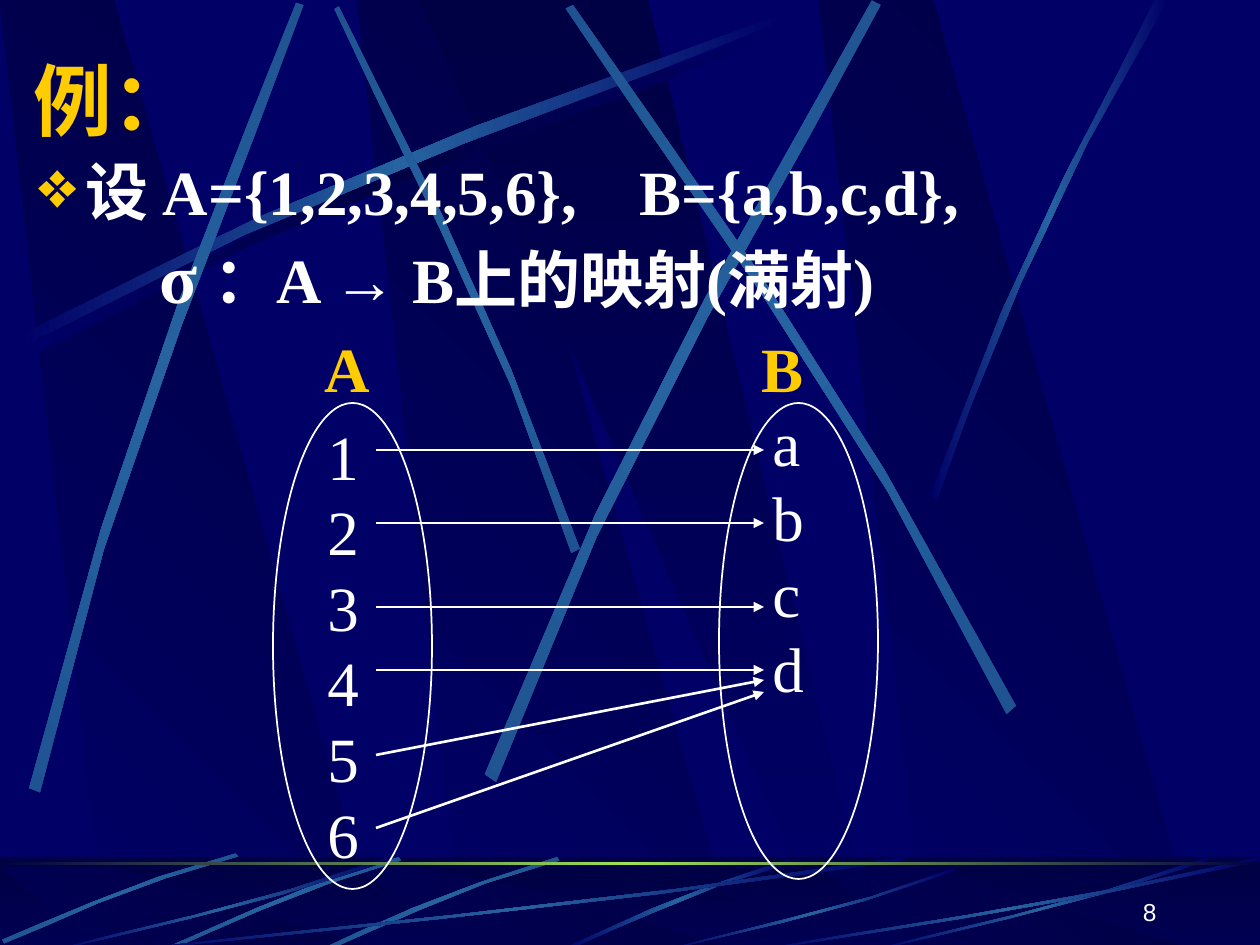
from math import cos, radians, sin

from lxml import etree
from pptx import Presentation
from pptx import util as u
from pptx.dml.color import RGBColor
from pptx.enum import shapes, text
from pptx.oxml.ns import qn

PX = 914400 / 126
WIDTH, HEIGHT = 1260, 945
NAVY, DARK, BLUE, GREEN = "000066", "000044", "2663A0", "9CE157"
GOLD, WHITE, GLOW = "FFCC00", "FFFFFF", "1C4C8C"
SERIF = "Times New Roman"

# Outlines as fractions of their box; a streak is two cubic curves.
PANEL = [(0.28, 1), (1, 1), (0.3, 0), (0, 0)]
MIRROR_PANEL = [(0, 0), (0.9, 1), (1, 1), (0.5, 0)]
WALL_STREAK = [(0, 0.96), (0.43, 0.43), (0.83, 0.15), (1, 0),
               (1, 0.02), (0.84, 0.19), (0.38, 0.5), (0, 1)]
FLOOR_STREAK = [(1, 0.04), (0.57, 0.57), (0.17, 0.85), (0, 1),
                (0, 0.99), (0.17, 0.81), (0.62, 0.51), (1, 0)]
BENT_STREAK = [(0.99, 0), (0.53, 0.33), (0.16, 0.8), (0, 0.97),
               (0.01, 1), (0.17, 0.84), (0.58, 0.31), (1, 0.04)]
# Outlines of the steep streaks in px, each with its tilt in degrees.
STEEP_STREAKS = [
    ([(580, 549), (493, 295), (381, 97), (339, 6),
      (334, 9), (372, 100), (501, 325), (572, 553)], 45),
    ([(29, 788), (117, 421), (248, 132), (296, 3),
      (304, 5), (261, 137), (108, 464), (40, 793)], 311.7),
    ([(485, 774), (627, 403), (804, 129), (872, 1),
      (880, 5), (818, 136), (612, 447), (496, 782)], 321.6),
    ([(1016, 706), (844, 369), (650, 120), (573, 5),
      (566, 9), (639, 127), (863, 410), (1007, 714)], 34.7),
]
RIGHT_STREAK = [(930, 496), (1026, 218), (1119, 83), (1155, 0),
                (1168, 0), (1053, 183), (969, 406), (937, 500)]


def px(length):
    return u.Emu(round(length * PX))


def box_px(box):
    return [px(length) for length in box]


def rgb(colour):
    return RGBColor.from_string(colour)


def fill_gradient(shape, colours, angle):
    shape.fill.gradient()
    gradient = shape.element.spPr.find(qn("a:gradFill"))
    stops = gradient.find(qn("a:gsLst"))
    for stop in list(stops):
        stops.remove(stop)
    for index, colour in enumerate(colours):
        position = round(index * 100000 / (len(colours) - 1))
        stop = etree.SubElement(stops, qn("a:gs"), pos=str(position))
        etree.SubElement(stop, qn("a:srgbClr"), val=colour)
    gradient.find(qn("a:lin")).set("ang", str(angle * 60000))
    shape.line.fill.background()
    shape.shadow.inherit = False


def add_outline(group, points, colours, angle):
    builder = group.shapes.build_freeform(*points[0], scale=PX)
    builder.add_line_segments(points[1:], close=True)
    outline = builder.convert_to_shape()
    fill_gradient(outline, colours, angle)
    return outline


def in_box(outline, box):
    left, top, width, height = box
    return [(left + x * width, top + y * height) for x, y in outline]


def cubic(points, steps=4):
    for step in range(steps + 1):
        t = step / steps
        weights = (1 - t) ** 3, 3 * t * (1 - t) ** 2, 3 * t * t * (1 - t), t ** 3
        yield tuple(sum(w * p[axis] for w, p in zip(weights, points)) for axis in (0, 1))


def turn(point, degrees):
    """Rotate a point clockwise about the slide's top left corner."""
    x, y = point
    c, s = cos(radians(degrees)), sin(radians(degrees))
    return x * c - y * s, x * s + y * c


def add_streak(group, points, tilt=0, edge=NAVY, middle=BLUE):
    """Draw the streak level, then rotate it into its place."""
    curve = [turn(p, -tilt) for p in (*cubic(points[:4]), *cubic(points[4:]))]
    streak = add_outline(group, curve, [edge, middle, edge], 0)
    if tilt:
        half_width, half_height = streak.width / 2, streak.height / 2
        x, y = turn((streak.left + half_width, streak.top + half_height), tilt)
        streak.left, streak.top = round(x - half_width), round(y - half_height)
        streak.rotation = tilt


def add_bar(group, box):
    return group.shapes.add_shape(shapes.MSO_SHAPE.RECTANGLE, *box_px(box))


def add_panels(group, top, height):
    for left in (357, 0, 819):
        add_outline(group, in_box(PANEL, (left, top, 380, height)), [NAVY, DARK], 315)
    add_outline(group, in_box(MIRROR_PANEL, (420, top, 455, height)), [DARK, NAVY], 90)


def add_wall(group):
    add_panels(group, 0, HEIGHT)
    for box, middle in (((25, 23, 767, 336), DARK), ((18, 13, 767, 336), BLUE)):
        add_streak(group, in_box(WALL_STREAK, box), middle=middle)
    for points, tilt in STEEP_STREAKS:
        add_streak(group, points, tilt, GLOW)
    add_streak(group, RIGHT_STREAK)


def add_floor(group, top):
    depth = HEIGHT + 6 - top
    fill_gradient(add_bar(group, (0, top, WIDTH, depth)), [DARK, NAVY], 90)
    add_panels(group, top + 10, depth - 10)
    shade = add_bar(group, (0, top, WIDTH, depth))
    shade.fill.solid()
    shade.fill.fore_color.rgb = rgb(DARK)
    colour = shade.element.spPr.find(".//" + qn("a:srgbClr"))
    etree.SubElement(colour, qn("a:alpha"), val="50000")
    shade.line.fill.background()
    shade.shadow.inherit = False
    add_streak(group, in_box(BENT_STREAK, (564, top + 2, 227, depth - 2)))
    for left, rise in ((323, 0), (165, 0), (2, 4)):
        add_streak(group, in_box(BENT_STREAK, (left, top - rise, 236, depth - rise)), 315, GLOW)
    for left, width, drop in ((126, 777, 0), (53, 336, 0), (664, 291, 11),
                              (872, 336, 0), (756, 504, 0)):
        add_streak(group, in_box(FLOOR_STREAK, (left, top + drop, width, depth - drop)))
    fill_gradient(add_bar(group, (0, top + 5, WIDTH, 3)), [DARK, GREEN, DARK], 0)


def add_backdrop(slide, master):
    """Build the decoration and hand it to the master, behind its placeholders."""
    group = slide.shapes.add_group_shape()
    add_wall(group)
    add_floor(group, 857)
    master.shapes.element.insert(2, group.element)
    master.background.fill.solid()
    master.background.fill.fore_color.rgb = rgb(NAVY)


def format_run(run, color=WHITE, **values):
    run.font.color.rgb = rgb(color)
    for name, value in values.items():
        setattr(run.font, name, value)


def add_text(slide, box, lines, paragraph_format=None, wrap=False, **font):
    frame = slide.shapes.add_textbox(*box_px(box)).text_frame
    frame.word_wrap = wrap
    for index, line in enumerate(lines):
        paragraph = frame.add_paragraph() if index else frame.paragraphs[0]
        for name, value in (paragraph_format or {}).items():
            setattr(paragraph, name, value)
        for words, size in line:
            run = paragraph.add_run()
            run.text = words
            format_run(run, size=u.Pt(size), **font)
    return frame


def add_title(slide, box):
    title = slide.shapes.title
    title.left, title.top, title.width, title.height = box_px(box)
    frame = title.text_frame
    frame.text = "例："
    frame.auto_size = text.MSO_AUTO_SIZE.NONE
    frame.vertical_anchor = text.MSO_ANCHOR.MIDDLE
    frame.paragraphs[0].alignment = text.PP_ALIGN.LEFT
    format_run(frame.paragraphs[0].runs[0], GOLD, name="Montserrat", size=u.Pt(45), bold=True)


def add_definition(slide, box):
    lines = [[("设 A={1,2,3,4,5,6},\tB={a,b,c,d},", 36)],
             [("σ", 40), (" ：A → B上的映射(满射)", 36)]]
    layout = {"alignment": text.PP_ALIGN.JUSTIFY, "line_spacing": 0.9, "space_before": u.Pt(8)}
    frame = add_text(slide, box, lines, layout, wrap=True, name=SERIF, bold=True)
    given, mapping = [paragraph._p.get_or_add_pPr() for paragraph in frame.paragraphs]
    given.set("marL", str(px(48)))
    given.set("indent", str(px(-47)))
    mapping.set("marL", str(px(122)))
    bullet_colour = etree.SubElement(given, qn("a:buClr"))
    etree.SubElement(bullet_colour, qn("a:srgbClr"), val=GOLD)
    etree.SubElement(given, qn("a:buSzPct"), val="106000")
    etree.SubElement(given, qn("a:buChar"), char="❖")
    tabs = etree.SubElement(given, qn("a:tabLst"))
    etree.SubElement(tabs, qn("a:tab"), pos=str(px(602)), algn="l")


def add_set(slide, oval, label, label_at, members, members_at):
    spacing = {"line_spacing": u.Pt(43.2)}
    add_text(slide, (*members_at, 57, 76 * len(members) + 12),
             [[(member, 36)] for member in members], spacing, name=SERIF)
    add_text(slide, (*label_at, 70, 88), [[(label, 36)]], spacing,
             color=GOLD, name=SERIF, bold=True)
    ellipse = slide.shapes.add_shape(shapes.MSO_SHAPE.OVAL, *box_px(oval))
    ellipse.fill.background()
    ellipse.line.color.rgb = rgb(WHITE)
    ellipse.line.width = u.Pt(1)
    ellipse.shadow.inherit = False


def add_arrows(slide, left, right, heights):
    for start, end in heights:
        arrow = slide.shapes.add_connector(
            shapes.MSO_CONNECTOR.STRAIGHT, px(left), px(start), px(right), px(end))
        arrow.line.color.rgb = rgb(WHITE)
        arrow.line.width = u.Pt(1.5)
        etree.SubElement(arrow.line._get_or_add_ln(), qn("a:tailEnd"), type="triangle")
        etree.SubElement(arrow.element.spPr, qn("a:effectLst"))


def add_page_number(slide, box):
    frame = add_text(slide, box, [[("8", 14)]], {"alignment": text.PP_ALIGN.RIGHT},
                     wrap=True, name="Arial")
    frame.vertical_anchor = text.MSO_ANCHOR.BOTTOM


def main():
    deck = Presentation()
    deck.slide_width, deck.slide_height = px(WIDTH), px(HEIGHT)
    slide = deck.slides.add_slide(deck.slide_layouts[5])
    add_backdrop(slide, deck.slide_master)
    add_title(slide, (21, 45, 1071, 108))
    add_definition(slide, (25, 155, 1193, 189))
    add_set(slide, (273, 403, 159, 486), "A", (312, 323), "123456", (315, 411))
    add_set(slide, (719, 403, 159, 476), "B", (749, 323), "abcd", (760, 397))
    add_arrows(slide, 376, 764, [(450, 450), (523, 523), (607, 607),
                                 (670, 670), (755, 680), (828, 692)])
    add_page_number(slide, (907, 870, 262, 63))
    deck.save("out.pptx")


if __name__ == "__main__":
    main()
